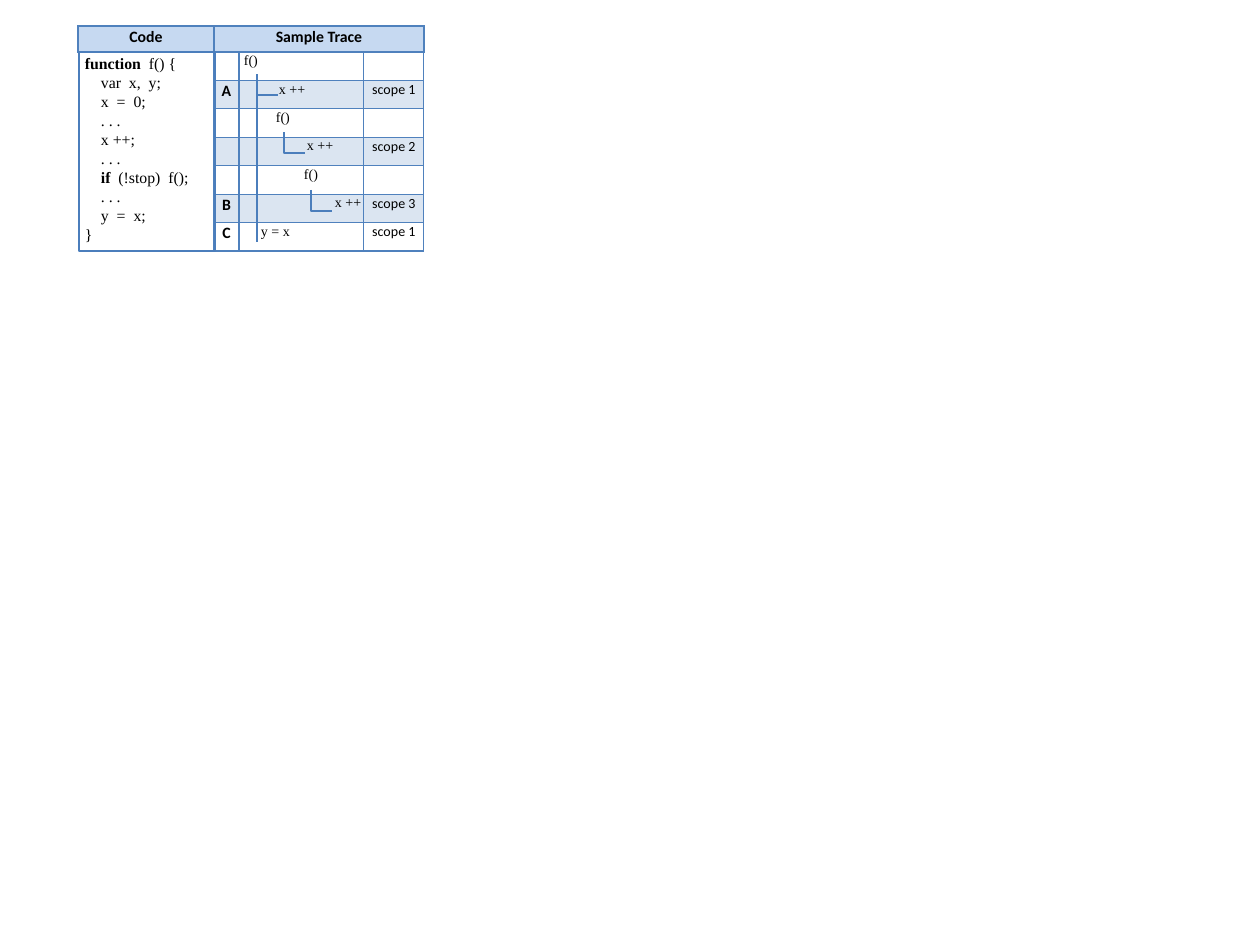
import pptx
import pptx.dml.color
import pptx.enum.shapes
import pptx.enum.text
import pptx.oxml
import pptx.oxml.ns
import pptx.util
from lxml import etree

SCALE = 914400 / 126
BORDER, TRACE_LINE, HEADER = "4F81BD", "4B7EBC", "C6D9F1"
SANS, SERIF = "Calibri", "Times New Roman"
CENTER = pptx.enum.text.PP_ALIGN.CENTER
LEFT = pptx.enum.text.PP_ALIGN.LEFT
CODE = [  # (indent level, [(text, bold), ...])
    (0, [("function", True), ("  f() {", False)]),
    (1, [("var  x,  y;", False)]),
    (1, [("x  =  0;", False)]),
    (1, [(". . .", False)]),
    (1, [("x ++;", False)]),
    (1, [(". . .", False)]),
    (1, [("if", True), ("  (!stop)  f();", False)]),
    (1, [(". . .", False)]),
    (1, [("y  =  x;", False)]),
    (0, [("}", False)]),
]
TRACE = [  # (label, indent, step, scope, shaded)
    ("", 5, "f()", "", False),
    ("A", 40, "x ++", "scope 1", True),
    ("", 37, "f()", "", False),
    ("", 68, "x ++", "scope 2", True),
    ("", 65, "f()", "", False),
    ("B", 96, "x ++", "scope 3", True),
    ("C", 22, "y = x", "scope 1", False),
]


def px(length):
    """Turn pixels into EMU."""
    return pptx.util.Emu(round(length * SCALE))


def color(value):
    """Turn a hex string into a colour."""
    return pptx.dml.color.RGBColor.from_string(value)


def add_run(paragraph, text, size, font, bold=False):
    """Add one black run."""
    run = paragraph.add_run()
    run.text = text
    run.font.size = pptx.util.Pt(size)
    run.font.name = font
    run.font.bold = bold
    run.font.color.rgb = color("000000")


def format_cell(cell, margin, indent=None, fill=None, alpha=100):
    """Set the margins, the borders and the fill of a cell."""
    cell.margin_right = cell.margin_top = cell.margin_bottom = px(margin)
    cell.margin_left = px(margin if indent is None else indent)
    properties = cell._tc.get_or_add_tcPr()
    for side in ("lnL", "lnR", "lnT", "lnB"):
        properties.append(pptx.oxml.parse_xml(
            f'<a:{side} {pptx.oxml.ns.nsdecls("a")} w="9525"><a:solidFill>'
            f'<a:srgbClr val="{BORDER}"/></a:solidFill></a:{side}>'))
    if fill is None:
        cell.fill.background()
        return
    cell.fill.solid()
    cell.fill.fore_color.rgb = color(fill)
    if alpha < 100:
        fill_color = next(properties.find(pptx.oxml.ns.qn("a:solidFill")).iterchildren())
        etree.SubElement(fill_color, pptx.oxml.ns.qn("a:alpha"), val=str(alpha * 1000))


def write_cell(cell, text, size, font, bold=False, alignment=CENTER):
    """Write one line into a cell, or keep an empty cell small."""
    paragraph = cell.text_frame.paragraphs[0]
    paragraph.alignment = alignment
    if text:
        add_run(paragraph, text, size, font, bold)
    else:
        etree.SubElement(paragraph._p, pptx.oxml.ns.qn("a:endParaRPr"), sz=str(size * 100))


def add_grid(slide, left, top, widths, row_count, height):
    """Add a plain table with equal rows."""
    frame = slide.shapes.add_table(row_count, len(widths), px(left), px(top),
                                   px(sum(widths)), px(height))
    table = frame.table
    table.first_row = table.horz_banding = False
    for column, width in zip(table.columns, widths):
        column.width = px(width)
    for row in table.rows:
        row.height = px(height / row_count)
    return table


def add_header(slide, left, top, widths, height):
    """Add the heading row."""
    table = add_grid(slide, left, top, widths, 1, height)
    for cell, text in zip(table.rows[0].cells, ("Code", "Sample Trace")):
        format_cell(cell, 2, fill=HEADER)
        write_cell(cell, text, 9, SANS, True)


def add_code(slide, left, top, width, height):
    """Add the framed code listing."""
    box = slide.shapes.add_shape(pptx.enum.shapes.MSO_SHAPE.RECTANGLE,
                                 px(left), px(top), px(width), px(height))
    box.shadow.inherit = False
    box.fill.background()
    box.line.color.rgb = color(TRACE_LINE)
    box.line.width = pptx.util.Pt(0.75)
    frame = box.text_frame
    frame.word_wrap = True
    frame.vertical_anchor = pptx.enum.text.MSO_ANCHOR.TOP
    frame.margin_left, frame.margin_right = px(6), px(12)
    frame.margin_top = frame.margin_bottom = px(2)
    for number, (level, runs) in enumerate(CODE):
        paragraph = frame.add_paragraph() if number else frame.paragraphs[0]
        paragraph.alignment = LEFT
        paragraph._p.get_or_add_pPr().set("marL", str(px(16 * level)))
        for text, bold in runs:
            add_run(paragraph, text, 9, SERIF, bold)


def add_trace_line(slide, kind, start, end):
    """Add one line of the call tree."""
    connector = slide.shapes.add_connector(kind, *map(px, start + end))
    connector.line.color.rgb = color(TRACE_LINE)
    connector.line.width = pptx.util.Pt(1.5)
    properties = connector._element.spPr
    etree.SubElement(properties, pptx.oxml.ns.qn("a:effectLst"))
    return properties


def add_branch(slide, left, top, size):
    """Add an elbow that runs down and then right."""
    properties = add_trace_line(slide, pptx.enum.shapes.MSO_CONNECTOR.ELBOW,
                                (left, top), (left + size, top + size))
    transform = properties.find(pptx.oxml.ns.qn("a:xfrm"))
    transform.set("rot", "16200000")
    transform.set("flipH", "1")
    geometry = properties.find(pptx.oxml.ns.qn("a:prstGeom"))
    adjustments = geometry.find(pptx.oxml.ns.qn("a:avLst"))
    etree.SubElement(adjustments, pptx.oxml.ns.qn("a:gd"), name="adj1", fmla="val 100000")


def add_trace(slide, left, top, widths, height):
    """Add the trace table and its call tree."""
    table = add_grid(slide, left, top, widths, len(TRACE), height)
    for row, (label, indent, step, scope, shaded) in zip(table.rows, TRACE):
        fill = BORDER if shaded else None
        for cell, margin_left in zip(row.cells, (1, indent, 1)):
            format_cell(cell, 1, margin_left, fill, 20)
        write_cell(row.cells[0], label, 9, SANS, True)
        write_cell(row.cells[1], step, 8, SERIF, alignment=LEFT)
        write_cell(row.cells[2], scope, 8, SANS)
    trunk = left + 43
    for depth in range(3):
        add_branch(slide, trunk + 27 * depth, top + 22 + 58 * depth, 21)
    add_trace_line(slide, pptx.enum.shapes.MSO_CONNECTOR.STRAIGHT,
                   (trunk, top + 32), (trunk, top + 190))


def build_slide(presentation):
    """Place the heading, the code and the trace."""
    slide = presentation.slides.add_slide(presentation.slide_layouts[6])
    add_header(slide, 78, 26, (136, 210), 26)
    add_trace(slide, 214, 52, (25, 125, 60), 199)
    add_code(slide, 79, 52, 136, 199)


presentation = pptx.Presentation()
presentation.slide_width, presentation.slide_height = px(1260), px(945)
build_slide(presentation)
presentation.save("out.pptx")
